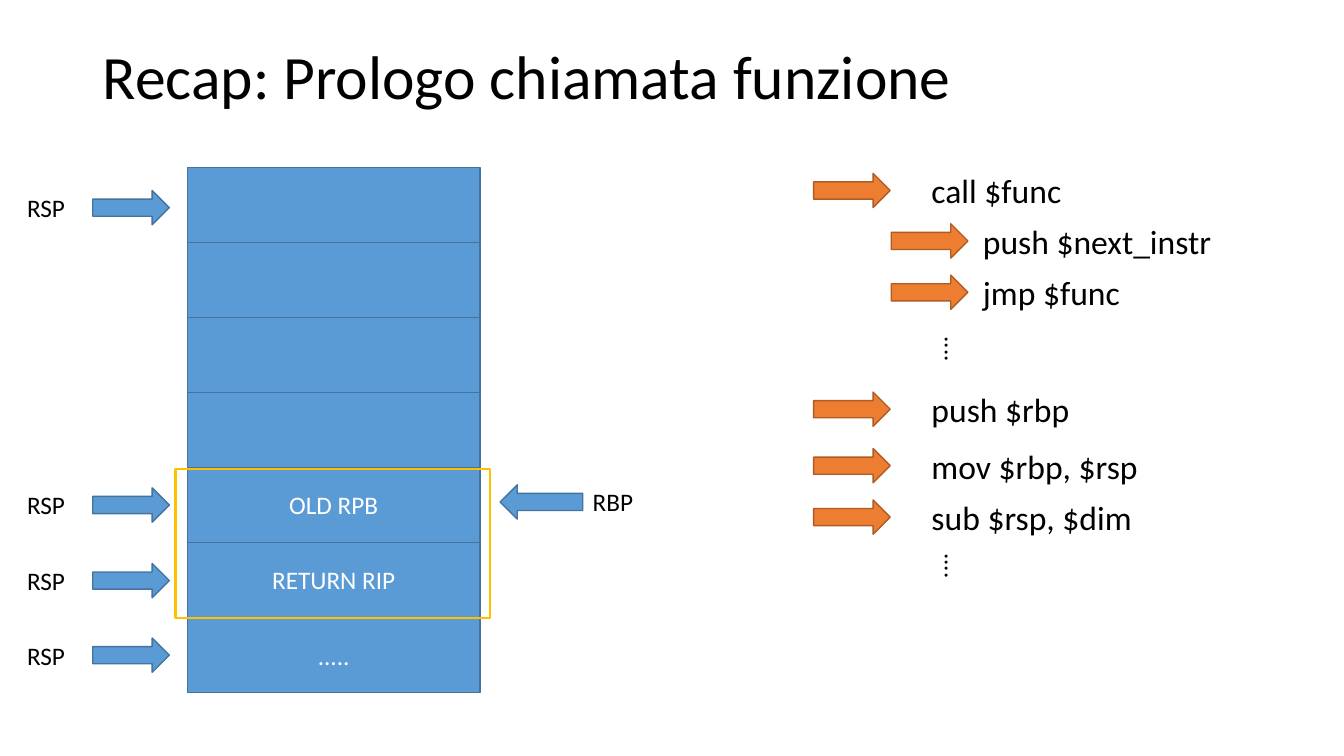
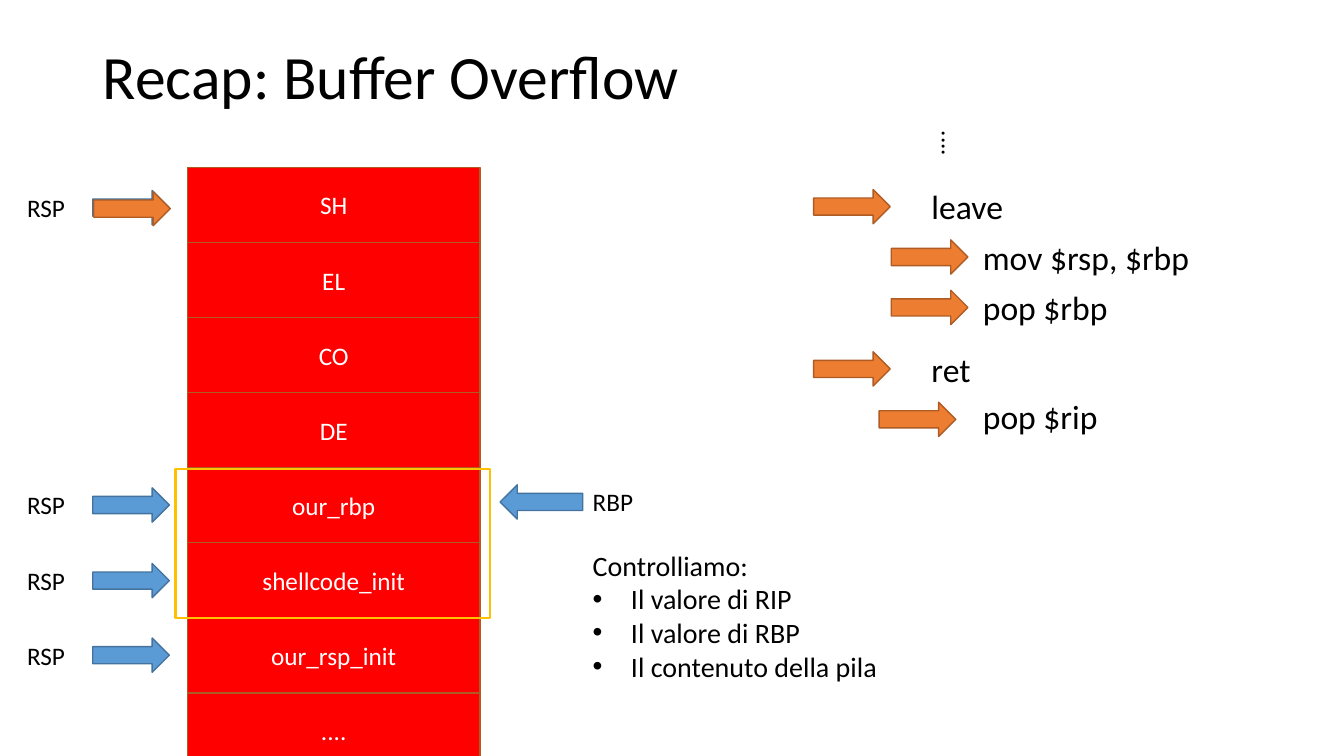
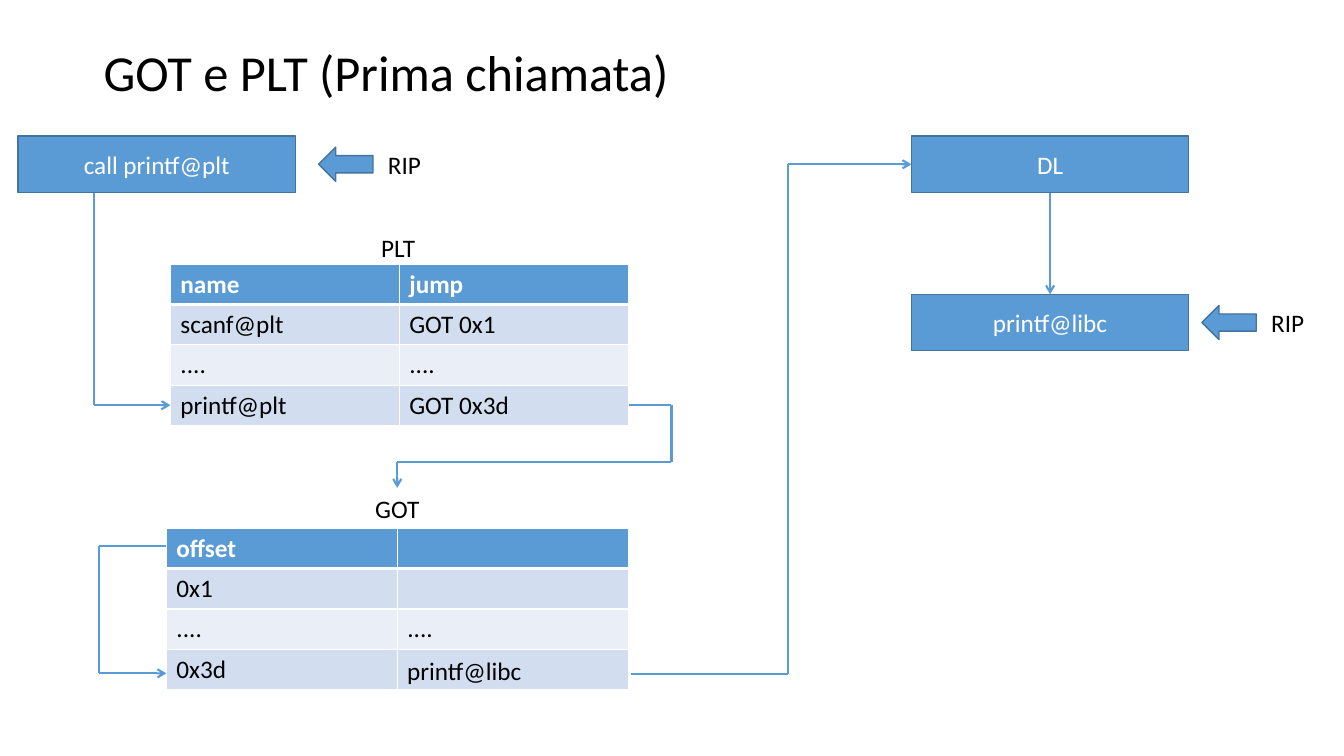
from itertools import pairwise

from lxml import etree
from pptx import Presentation
from pptx import util as u
from pptx.dml.color import RGBColor
from pptx.enum import shapes as kinds, text as txt
from pptx.oxml.ns import qn

PX = 9144  # EMU in one px, 100 px to the inch
FONT = "Calibri"
COLORS = {
    "black": "000000", "white": "FFFFFF",
    "blue": "5B9BD5", "blue_edge": "43739E",
    "orange": "ED7D31", "orange_edge": "AF5C24",
    "red": "FF0000", "gold": "FFC000",
    "band_dark": "D2DEEF", "band_light": "EAEFF7",
}
BLUE = ("blue", "blue_edge")
ORANGE = ("orange", "orange_edge")
RED = ("red", "orange_edge")
RIGHT, LEFT = kinds.MSO_SHAPE.RIGHT_ARROW, kinds.MSO_SHAPE.LEFT_ARROW
CENTER = txt.PP_ALIGN.CENTER

# indent level: arrow left, text left, arrow drop
INSTRUCTION_LEVELS = {"call": (0, 107, 8), "step": (77, 158, 8), "last": (65, 158, 11)}


def px(*lengths):
    return [u.Emu(round(length * PX)) for length in lengths]


def rgb(name):
    return RGBColor.from_string(COLORS[name])


# Shared parts
def style_text(frame, size, color="black", align=None, bold=False):
    for paragraph in frame.paragraphs:
        if align is not None:
            paragraph.alignment = align
        for run in paragraph.runs:
            run.font.name, run.font.size, run.font.bold = FONT, u.Pt(size), bold
            run.font.color.rgb = rgb(color)


def add_label(shapes, box, words, size=18, align=None):
    label = shapes.add_textbox(*px(*box))
    label.text_frame.word_wrap = True
    label.text_frame.text = words
    style_text(label.text_frame, size, align=align)
    return label


def add_figure(shapes, kind, box, colors, words="", width=1):
    fill, edge = colors
    figure = shapes.add_shape(kind, *px(*box))
    figure.shadow.inherit = False
    if fill:
        figure.fill.solid()
        figure.fill.fore_color.rgb = rgb(fill)
    else:
        figure.fill.background()
    figure.line.color.rgb = rgb(edge)
    figure.line.width = u.Pt(width)
    if words:
        figure.text_frame.text = words
        figure.text_frame.vertical_anchor = txt.MSO_ANCHOR.MIDDLE
        style_text(figure.text_frame, 18, "white", CENTER)
    return figure


def add_block(shapes, box, words="", colors=BLUE):
    return add_figure(shapes, kinds.MSO_SHAPE.RECTANGLE, box, colors, words)


def new_slide(deck, title, left=92, top=6, size=44):
    shapes = deck.slides.add_slide(deck.slide_layouts[6]).shapes
    heading = add_label(shapes, (left, top, 1150, 145), title, size)
    heading.text_frame.vertical_anchor = txt.MSO_ANCHOR.MIDDLE
    heading.text_frame.paragraphs[0].line_spacing = 0.9
    return shapes


# Register pointers: a name and an arrow, grouped
def add_right_pointer(shapes, left, top, register):
    pair = shapes.add_group_shape().shapes
    add_figure(pair, RIGHT, (left + 75, top + 3, 76, 34), BLUE)
    add_label(pair, (left, top, 74, 40), register)


def add_left_pointer(shapes, left, top, register, length, gap):
    pair = shapes.add_group_shape().shapes
    add_label(pair, (left + length + gap, top - 3, 74, 40), register)
    add_figure(pair, LEFT, (left, top, length, 34), BLUE)


# Stack with its pointers and the highlighted frame
def add_stack(shapes, box, cells, colors):
    left, top, width, height = box
    step = height / len(cells)
    for pointer_top in (20, 315, 390, 464):
        add_right_pointer(shapes, left - 169, top + pointer_top, "RSP")
    add_left_pointer(shapes, left + 310, top + 315, "RBP", 82, 0)
    for row, words in enumerate(cells):
        add_block(shapes, (left, top + row * step, width, step), words, colors)
    add_figure(shapes, kinds.MSO_SHAPE.RECTANGLE, (left - 12, top + 299, 312, 148),
               (None, "gold"), width=1.5)


# Assembly instructions, each with its arrow
def add_instructions(shapes, left, top, instructions):
    for drop, level, words in instructions:
        arrow_left, text_left, arrow_drop = INSTRUCTION_LEVELS[level]
        add_label(shapes, (left + text_left, top + drop, 328, 50), words, 24)
        add_figure(shapes, RIGHT, (left + arrow_left, top + drop + arrow_drop, 76, 34), ORANGE)


def add_vertical_dots(shapes, left, top):
    dots = add_label(shapes, (left, top, 50, 47), "....")
    dots.element.find(".//" + qn("a:bodyPr")).set("vert", "eaVert")


def add_bullets(shapes, box, heading, points):
    notes = add_label(shapes, box, "\n".join([heading, *points]), 20)
    for paragraph in notes.text_frame.paragraphs[1:]:
        properties = paragraph._p.get_or_add_pPr()
        properties.set("marL", str(38 * PX))
        properties.set("indent", str(-38 * PX))
        etree.SubElement(properties, qn("a:buFont")).set("typeface", "Arial")
        etree.SubElement(properties, qn("a:buChar")).set("char", "•")


# Linkage tables
def set_borders(cell, bottom):
    properties = cell._tc.get_or_add_tcPr()
    for place, (side, width) in enumerate([("L", 1), ("R", 1), ("T", 1), ("B", bottom)]):
        line = etree.Element(qn("a:ln" + side), w=str(u.Pt(width)))
        fill = etree.SubElement(line, qn("a:solidFill"))
        etree.SubElement(fill, qn("a:srgbClr")).set("val", COLORS["white"])
        properties.insert(place, line)


def add_linkage_table(shapes, box, rows):
    table = shapes.add_table(len(rows), len(rows[0]), *px(*box)).table
    table.first_row = table.horz_banding = False
    for r, row in enumerate(rows):
        header = r == 0
        band = "blue" if header else "band_dark" if r % 2 else "band_light"
        for c, words in enumerate(row):
            cell = table.cell(r, c)
            cell.text_frame.text = words
            style_text(cell.text_frame, 18, "white" if header else "black", bold=header)
            cell.fill.solid()
            cell.fill.fore_color.rgb = rgb(band)
            set_borders(cell, 3 if header else 1)


# Route of straight segments, the last one with an arrowhead
def add_route(shapes, points, start=None, end=None):
    for (x1, y1), (x2, y2) in pairwise(points):
        segment = shapes.add_connector(kinds.MSO_CONNECTOR.STRAIGHT, *px(x1, y1, x2, y2))
        segment.line.color.rgb = rgb("blue")
        segment.line.width = u.Pt(1.5)
        etree.SubElement(segment.element.spPr, qn("a:effectLst"))
    outline = segment.element.spPr.find(qn("a:ln"))
    etree.SubElement(outline, qn("a:tailEnd")).set("type", "arrow")
    if start:
        segment.begin_connect(*start)
    if end:
        segment.end_connect(*end)


# Slides
def build_prologue(deck):
    shapes = new_slide(deck, "Recap: Prologo chiamata funzione")
    add_stack(shapes, (186, 166, 290, 521),
              ["", "", "", "", "OLD RPB", "RETURN RIP", "....."], BLUE)
    add_instructions(shapes, 807, 164, [
        (0, "call", "call $func"),
        (50, "step", "push $next_instr"),
        (101, "step", "jmp $func"),
        (217, "call", "push $rbp"),
        (273, "call", "mov $rbp, $rsp"),
        (324, "call", "sub $rsp, $dim"),
    ])
    for top in (324, 539):
        add_vertical_dots(shapes, 917, top)


def build_overflow(deck):
    shapes = new_slide(deck, "Recap: Buffer Overflow")
    add_stack(shapes, (186, 166, 290, 596),
              ["SH", "EL", "CO", "DE", "our_rbp", "shellcode_init", "our_rsp_init", "...."], RED)
    add_figure(shapes, RIGHT, (93, 190, 76, 34), ORANGE)
    add_vertical_dots(shapes, 914, 120)
    add_instructions(shapes, 807, 180, [
        (0, "call", "leave"),
        (50, "step", "mov $rsp, $rbp"),
        (100, "step", "pop $rbp"),
        (161, "call", "ret"),
        (208, "last", "pop $rip"),
    ])
    add_bullets(shapes, (578, 539, 492, 145), "Controlliamo:",
                ["Il valore di RIP", "Il valore di RBP", "Il contenuto della pila"])


def build_linkage(deck):
    shapes = new_slide(deck, "GOT e PLT (Prima chiamata)", 93, 2, 36)

    # Code blocks
    add_block(shapes, (18, 135, 275, 56), "call printf@plt")
    loader = add_block(shapes, (904, 135, 275, 56), "DL")
    library = add_block(shapes, (904, 292, 275, 56), "printf@libc")

    # Tables
    add_linkage_table(shapes, (169, 262, 454, 160), [
        ("name", "jump"), ("scanf@plt", "GOT 0x1"), ("....", "...."), ("printf@plt", "GOT 0x3d")])
    add_linkage_table(shapes, (165, 524, 458, 160), [
        ("offset", ""), ("0x1", ""), ("....", "...."), ("0x3d", "")])
    add_label(shapes, (165, 226, 460, 40), "PLT", align=CENTER)
    got_name = add_label(shapes, (165, 484, 458, 40), "GOT", align=CENTER)
    add_label(shapes, (394, 645, 192, 40), "printf@libc")

    # Flow
    add_route(shapes, [(165, 542), (98, 542), (98, 668), (165, 668)])
    add_route(shapes, [(624, 402), (666, 402), (666, 458), (394, 458), (394, 484)],
              end=(got_name, 0))
    add_route(shapes, [(93, 191), (93, 402), (169, 402)])
    add_route(shapes, [(626, 669), (782, 669), (782, 163), (904, 163)], end=(loader, 1))
    add_route(shapes, [(1041, 191), (1041, 292)], start=(loader, 2), end=(library, 0))

    # Instruction pointer, before and after
    for left, top in ((316, 146), (1192, 303)):
        add_left_pointer(shapes, left, top, "RIP", 54, 5)


def main():
    deck = Presentation()
    deck.slide_width, deck.slide_height = px(1333, 750)
    build_prologue(deck)
    build_overflow(deck)
    build_linkage(deck)
    deck.save("out.pptx")


if __name__ == "__main__":
    main()
